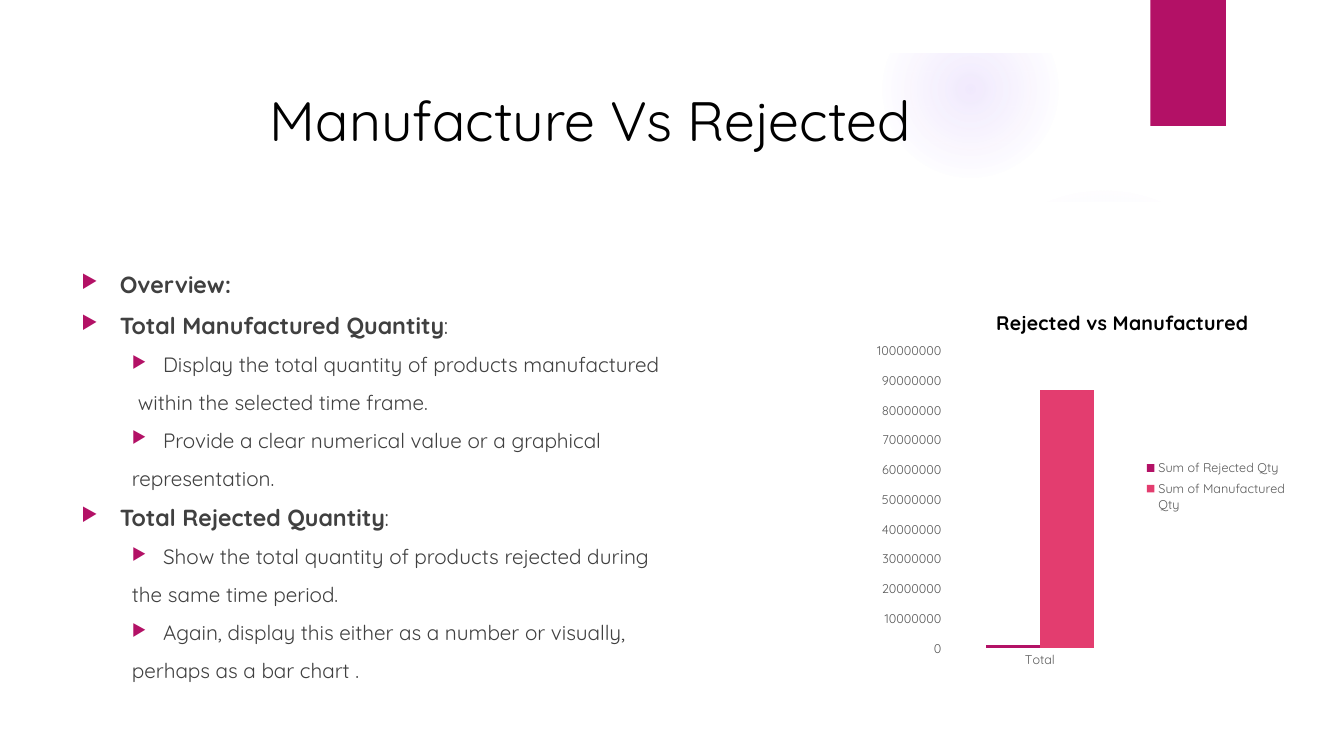
import pptx
import pptx.util
import pptx.chart.data
import pptx.dml.color
import pptx.enum.chart
import pptx.enum.shapes
import pptx.enum.text
import pptx.oxml
import pptx.oxml.ns

Inches, Pt = pptx.util.Inches, pptx.util.Pt
SHAPE = pptx.enum.shapes.MSO_SHAPE
ALIGN = pptx.enum.text.PP_ALIGN
FONT = "Quicksand"
COLORS = {"white": "FFFFFF", "black": "000000", "text": "404040", "axis": "595959",
          "plum": "B31166", "pink": "E33D6F", "glow": "9B6BF2"}

# Content
TITLE = "Manufacture Vs Rejected"
# (kind, text, plain tail)
LINES = [
    ("head", "Overview:", ""),
    ("head", "Total Manufactured Quantity", ":"),
    ("point", "Display the total quantity of products manufactured", ""),
    ("inset", "within the selected time frame.", ""),
    ("point", "Provide a clear numerical value or a graphical", ""),
    ("more", "representation.", ""),
    ("head", "Total Rejected Quantity", ":"),
    ("point", "Show the total quantity of products rejected during", ""),
    ("more", "the same time period.", ""),
    ("point", "Again, display this either as a number or visually,", ""),
    ("more", "perhaps as a bar chart .", ""),
]
# kind: left margin, first-line indent, size, bold, bullet
KINDS = {"head": (0.38, -0.38, 16.6, True, True),
         "point": (0.81, -0.31, 14.8, False, True),
         "more": (0.5, 0, 14.8, False, False),
         "inset": (0.56, 0, 14.8, False, False)}
CHART = "Rejected vs Manufactured"
SERIES = [("Sum of Rejected Qty", 1000000, "plum"),
          ("Sum of Manufactured Qty", 87000000, "pink")]
# left, top, diameter, gradient stops (position %, opacity %)
GLOWS = [(9.41, 1.83, 3.08, [(0, 7), (36, 6), (69, 0)]),
         (8.75, 0.01, 1.75, [(0, 14), (36, 7), (73, 0)])]
SWOOSH = [(9.34, 2.5), (10.6, 2.45), (11.8, 2.32), (12.89, 2.14), (12.83, 1.66),
          (12.13, 1.88), (11.44, 2.06), (10.75, 2.21), (10.1, 2.32), (9.3, 2.43)]
PANEL = [(0.5, 2.04), (0.5, 7), (12.84, 7), (12.84, 2.04), (12, 2.17), (11.16, 2.27),
         (10.32, 2.35), (9.49, 2.41), (8.67, 2.45), (7.86, 2.47), (7.08, 2.48),
         (6.32, 2.47), (5.59, 2.46), (4.88, 2.43), (4.01, 2.38), (3.21, 2.33),
         (2.49, 2.27), (1.87, 2.21), (1.35, 2.15), (0.94, 2.1)]

deck = pptx.Presentation()
deck.slide_width, deck.slide_height = Inches(13.33), Inches(7.5)
slide = deck.slides.add_slide(deck.slide_layouts[6])
shapes = slide.shapes


def rgb(name):
    return pptx.dml.color.RGBColor.from_string(COLORS[name])


def style(font, size, color, bold=False):
    font.name, font.size, font.bold = FONT, Pt(size), bold
    font.color.rgb = rgb(color)


def write(para, text, size=14.8, color="text", bold=False):
    run = para.add_run()
    run.text = text
    style(run.font, size, color, bold)


def xml(tag, body):
    uri = pptx.oxml.ns.nsdecls(tag.split(":")[0])
    return pptx.oxml.parse_xml(f"<{tag} {uri}>{body}</{tag}>")


def paint(shape, color):
    shape.shadow.inherit = False
    shape.line.fill.background()
    shape.fill.solid()
    shape.fill.fore_color.rgb = rgb(color)
    return shape


def block(kind, x, y, w, h, color):
    return paint(shapes.add_shape(kind, Inches(x), Inches(y), Inches(w), Inches(h)), color)


def outline(points, color):
    pen = shapes.build_freeform(*points[0], scale=Inches(1))
    pen.add_line_segments(points[1:], close=True)
    return paint(pen.convert_to_shape(), color)


def textbox(x, y, w, h):
    frame = shapes.add_textbox(Inches(x), Inches(y), Inches(w), Inches(h)).text_frame
    frame.word_wrap = True
    return frame


def swap(shape, fill):
    old = shape.element.spPr.find(pptx.oxml.ns.qn("a:solidFill"))
    shape.element.spPr.replace(old, fill)


def tint(color, alpha):
    return f'<a:srgbClr val="{COLORS[color]}"><a:alpha val="{alpha * 1000}"/></a:srgbClr>'


# Soft glows
for x, y, size, stops in GLOWS:
    steps = "".join(f'<a:gs pos="{pos * 1000}">{tint("glow", alpha)}</a:gs>'
                    for pos, alpha in stops)
    swap(block(SHAPE.OVAL, x, y, size, size, "glow"), xml(
        "a:gradFill", f'<a:gsLst>{steps}</a:gsLst><a:path path="circle">'
        '<a:fillToRect l="50000" t="50000" r="50000" b="50000"/></a:path>'))

# Swoosh, panel, frame and tab
swoosh = outline(SWOOSH, "white")
swoosh.rotation = 350.2
swap(swoosh, xml("a:solidFill", tint("white", 20)))
outline(PANEL, "white")
frame = block(SHAPE.FRAME, 0, 0, 13.33, 7.5, "white")
frame.adjustments[0] = 0.07
block(SHAPE.RECTANGLE, 11.41, 0, 0.75, 1.25, "plum")

# Title
head = textbox(0.71, 0.85, 10.29, 1.13)
head.margin_top = 0
head.paragraphs[0].alignment = ALIGN.CENTER
write(head.paragraphs[0], TITLE, size=39.6, color="black")

# Bullet list
body = textbox(0.71, 2.63, 12.62, 4.2)
for i, (kind, text, tail) in enumerate(LINES):
    left, first, size, bold, mark = KINDS[kind]
    para = body.paragraphs[0] if i == 0 else body.add_paragraph()
    para.space_before = Pt(9.3 if i else 0)
    para.level = 0 if kind == "head" else 1
    props = para._p.get_or_add_pPr()
    props.set("marL", str(Inches(left)))
    props.set("indent", str(Inches(first)))
    if mark:
        color = xml("a:buClr", f'<a:srgbClr val="{COLORS["plum"]}"/>')
        props.append(color)
        for tag, key, val in [("a:buSzPct", "val", "80000"), ("a:buChar", "char", "▶")]:
            part = xml(tag, "")
            part.set(key, val)
            props.append(part)
    write(para, text, size=size, bold=bold)
    if tail:
        write(para, tail, size=size)

# Chart
data = pptx.chart.data.CategoryChartData(number_format="0")
data.categories = ["Total"]
for name, value, color in SERIES:
    data.add_series(name, [value])
chart = shapes.add_chart(pptx.enum.chart.XL_CHART_TYPE.COLUMN_CLUSTERED, Inches(8.61),
                         Inches(2.87), Inches(4.26), Inches(3.83), data).chart
style(chart.font, 10, "black")
chart.has_title = True
write(chart.chart_title.text_frame.paragraphs[0], CHART, size=14, color="black", bold=True)
plot = chart.plots[0]
plot.gap_width, plot.overlap, plot.vary_by_categories = 150, 0, False
for series, (name, value, color) in zip(plot.series, SERIES):
    series.format.fill.solid()
    series.format.fill.fore_color.rgb = rgb(color)

# Axes and legend
for axis in (chart.category_axis, chart.value_axis):
    axis.has_major_gridlines = False
    axis.major_tick_mark = axis.minor_tick_mark = pptx.enum.chart.XL_TICK_MARK.NONE
    axis.format.line.fill.background()
    style(axis.tick_labels.font, 9, "axis")
scale = chart.value_axis
scale.minimum_scale, scale.maximum_scale, scale.major_unit = 0, 100000000, 10000000
chart.has_legend = True
chart.legend.position = pptx.enum.chart.XL_LEGEND_POSITION.RIGHT
chart.legend.include_in_layout = False
style(chart.legend.font, 9, "axis")


def place(holder, after, inner=False, **spots):
    """Set the layout of a chart part as shares of the chart's size."""
    for old in holder.findall(pptx.oxml.ns.qn("c:layout")):
        holder.remove(old)
    rows = '<c:layoutTarget val="inner"/>' if inner else ""
    rows += '<c:xMode val="edge"/><c:yMode val="edge"/>'
    rows += "".join(f'<c:{key} val="{val}"/>' for key, val in spots.items())
    layout = xml("c:layout", f"<c:manualLayout>{rows}</c:manualLayout>")
    prior = holder.find(pptx.oxml.ns.qn(after)) if after else None
    holder.insert(0 if prior is None else holder.index(prior) + 1, layout)


area = chart.element.chart.plotArea
place(area, None, inner=True, x=0.18, y=0.16, w=0.44, h=0.77)
place(chart.chart_title.element if hasattr(chart.chart_title, "element")
      else chart.chart_title._element, "c:tx", x=0.29, y=0.04)
place(chart.legend._element, "c:legendPos", x=0.64, y=0.43, w=0.34, h=0.16)

deck.save("out.pptx")
